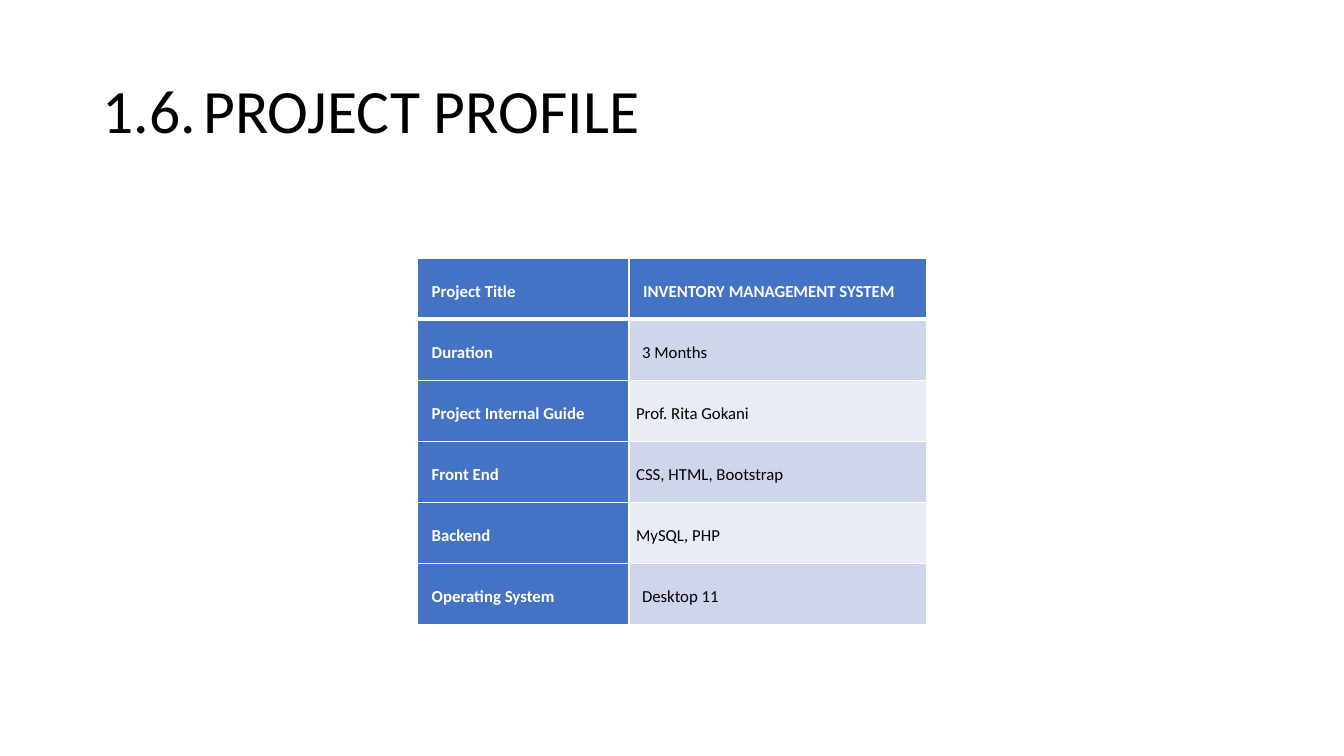
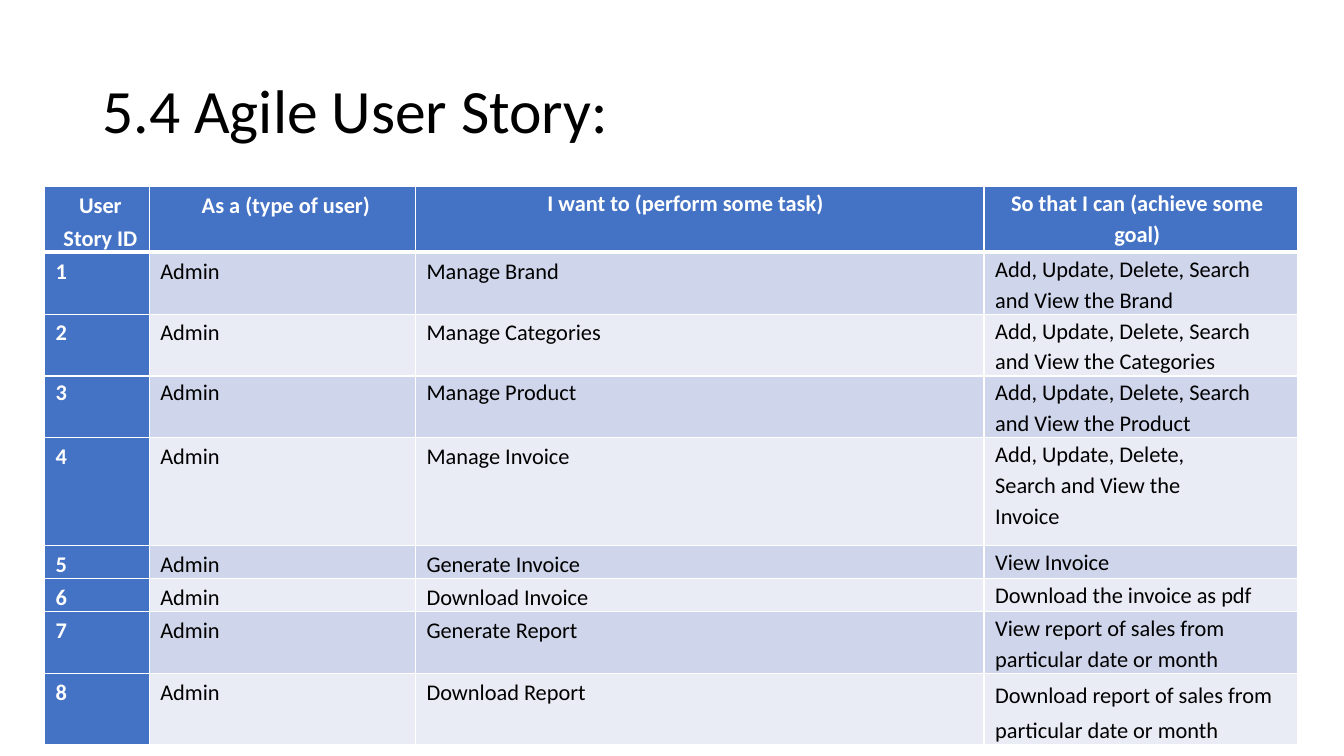
from lxml import etree
from pptx import Presentation
from pptx import util as u
from pptx.dml.color import RGBColor
from pptx.enum import text
from pptx.oxml import ns

COLOURS = {
    "ink": "000000",
    "paper": "FFFFFF",
    "accent": "4472C4",
    "odd": "CFD5EA",
    "even": "E9EBF5",
}
FONT = "Calibri"

PROFILE = [
    ("Project Title", "INVENTORY MANAGEMENT SYSTEM"),
    ("Duration", "3 Months"),
    ("Project Internal Guide", "Prof. Rita Gokani"),
    ("Front End", "CSS, HTML, Bootstrap"),
    ("Backend", "MySQL, PHP"),
    ("Operating System", "Desktop 11"),
]

STORY_HEADINGS = (
    "User Story ID",
    "As a (type of user)",
    "I want to (perform some task)",
    "So that I can (achieve some goal)",
)
STORIES = [
    ("Manage Brand", "Add, Update, Delete, Search and View the Brand"),
    ("Manage Categories", "Add, Update, Delete, Search and View the Categories"),
    ("Manage Product", "Add, Update, Delete, Search and View the Product"),
    ("Manage Invoice", "Add, Update, Delete, Search and View the Invoice"),
    ("Generate Invoice", "View Invoice"),
    ("Download Invoice", "Download the invoice as pdf"),
    ("Generate Report", "View report of sales from particular date or month"),
    ("Download Report", "Download report of sales from particular date or month"),
]


def apply(target, values):
    for name, value in values.items():
        setattr(target, name, value)


def colour(name):
    return RGBColor.from_string(COLOURS[name])


class Slides:
    """Shared style, the deck and the slide being filled."""

    def __init__(self):
        self.deck = Presentation()
        apply(self.deck, {"slide_width": u.Cm(33.87), "slide_height": u.Cm(19.05)})
        self.page = None

    def add_page(self, title):
        layout = self.deck.slide_layouts.get_by_name("Title Only")
        self.page = self.deck.slides.add_slide(layout)
        box = self.page.shapes.title
        apply(box, {"left": u.Cm(2.33), "top": u.Cm(1.02),
                    "width": u.Cm(29.21), "height": u.Cm(3.68)})
        apply(box.text_frame, {"word_wrap": True,
                               "auto_size": text.MSO_AUTO_SIZE.NONE,
                               "vertical_anchor": text.MSO_ANCHOR.MIDDLE})
        para = box.text_frame.paragraphs[0]
        apply(para, {"alignment": text.PP_ALIGN.LEFT, "line_spacing": 0.9})
        self.add_span(para, title, 44, "ink")

    def add_span(self, para, words, size, ink, bold=False):
        span = para.add_run()
        span.text = words
        apply(span.font, {"name": FONT, "size": u.Pt(size), "bold": bold})
        span.font.color.rgb = colour(ink)

    def borders(self, cell, row):
        """White rules, thicker between the heading row and the first body row."""
        widths = {"L": 1, "R": 1, "T": 3 if row == 1 else 1, "B": 3 if row == 0 else 1}
        properties = cell._tc.get_or_add_tcPr()
        for index, (side, points) in enumerate(widths.items()):
            line = etree.Element(ns.qn(f"a:ln{side}"), w=str(u.Pt(points)))
            fill = etree.SubElement(line, ns.qn("a:solidFill"))
            etree.SubElement(fill, ns.qn("a:srgbClr"), val=COLOURS["paper"])
            properties.insert(index, line)

    def table(self, left, top, widths, heights, rows, size, cell_format):
        """cell_format(row, column) gives the cell and paragraph formats."""
        frame = self.page.shapes.add_table(
            len(rows), len(widths), u.Cm(left), u.Cm(top),
            u.Cm(sum(widths)), u.Cm(sum(heights)))
        grid = frame.table
        apply(grid, {"first_col": True, "horz_banding": False})
        for column, width in zip(grid.columns, widths):
            column.width = u.Cm(width)
        for line, height in zip(grid.rows, heights):
            line.height = u.Cm(height)
        for row, words in enumerate(rows):
            for column, word in enumerate(words):
                cell = grid.cell(row, column)
                label = row == 0 or column == 0
                cell.fill.solid()
                band = "odd" if row % 2 else "even"
                cell.fill.fore_color.rgb = colour("accent" if label else band)
                self.borders(cell, row)
                cell_values, para_values = cell_format(row, column)
                apply(cell, {"margin_top": 0, "margin_bottom": 0, **cell_values})
                para = cell.text_frame.paragraphs[0]
                apply(para, {"space_after": u.Pt(6), **para_values})
                self.add_span(para, word, size, "paper" if label else "ink", label)


def profile_format(row, column):
    left = 0.36
    if column == 1 and row:
        left = 0.33 if row in (1, 5) else 0.18
    return (
        {"margin_left": u.Cm(left), "margin_right": u.Cm(0.18),
         "vertical_anchor": text.MSO_ANCHOR.MIDDLE},
        {"line_spacing": 1.3},
    )


def story_format(row, column):
    right = {(0, 2): 1, (4, 3): 1.5}.get((row, column), 0.46 if column == 3 else 0.1)
    tight = column == 3 or row == 3 or (row, column) == (0, 2)
    spacing = 1.3 if (row, column) == (8, 3) else 1.13 if tight else 1.2
    align = text.PP_ALIGN.LEFT if row else text.PP_ALIGN.CENTER
    return (
        {"margin_left": u.Cm(0.28), "margin_right": u.Cm(right),
         "vertical_anchor": text.MSO_ANCHOR.TOP},
        {"line_spacing": spacing, "alignment": align},
    )


def main():
    slides = Slides()

    slides.add_page("1.6.\tPROJECT PROFILE")
    slides.table(10.52, 6.5, [5.33, 7.5], [1.54] * len(PROFILE),
                 PROFILE, 12, profile_format)

    slides.add_page("5.4 Agile User Story:")
    stories = [(str(number), "Admin", *story)
               for number, story in enumerate(STORIES, 1)]
    slides.table(1.12, 4.7, [2.64, 6.71, 14.33, 7.9],
                 [1.47, 1.55, 1.55, 1.55, 2.72, 0.76, 0.76, 1.55, 1.75],
                 [STORY_HEADINGS, *stories], 16, story_format)

    slides.deck.save("out.pptx")


if __name__ == "__main__":
    main()
